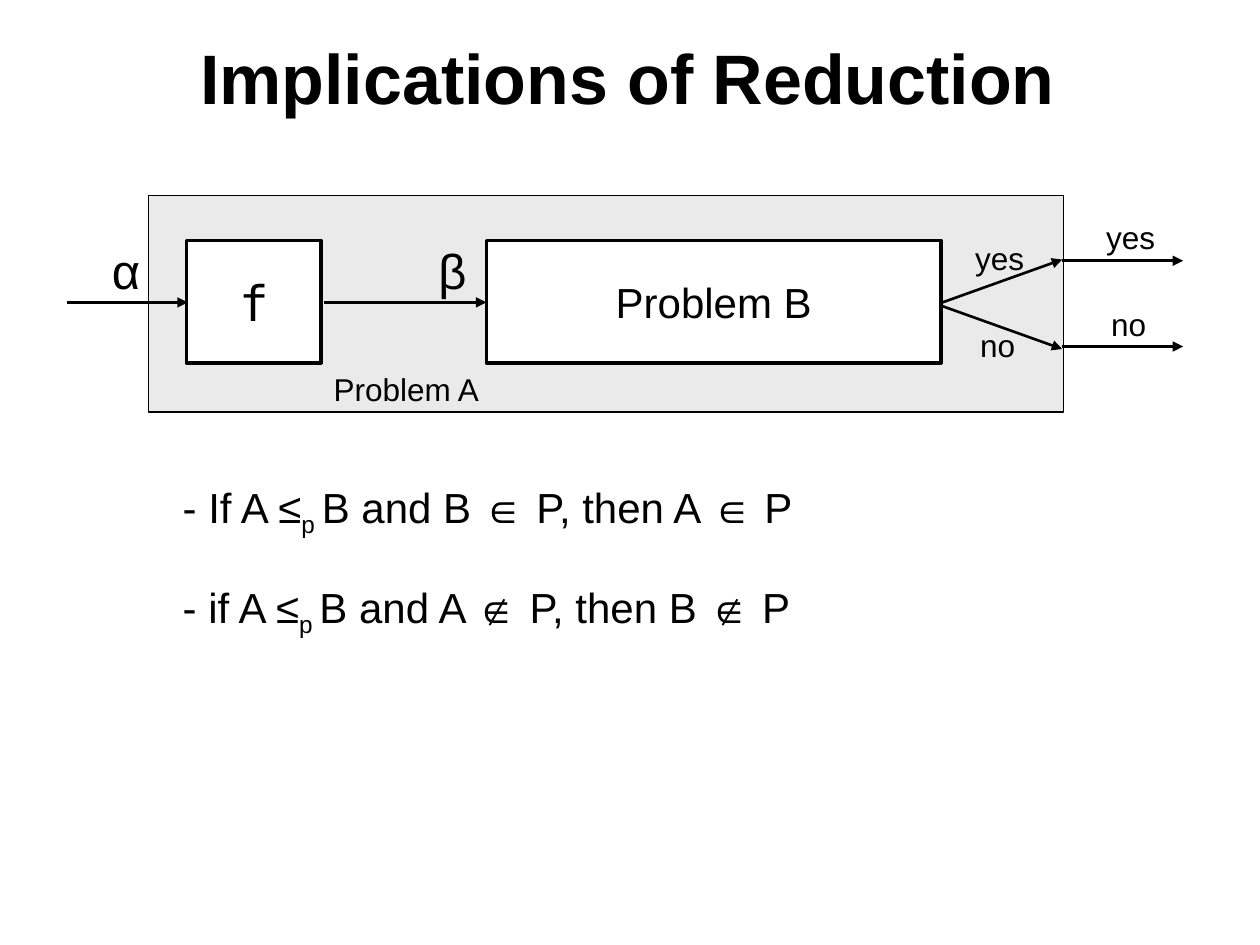
from lxml import etree
from pptx import Presentation
from pptx.dml.color import RGBColor
from pptx.enum.shapes import MSO_CONNECTOR, MSO_SHAPE
from pptx.enum.text import MSO_ANCHOR, MSO_AUTO_SIZE, PP_ALIGN
from pptx.oxml.ns import qn
from pptx.util import Inches, Pt

BLACK = RGBColor(0x00, 0x00, 0x00)
WHITE = RGBColor(0xFF, 0xFF, 0xFF)
GREY = RGBColor(0xEA, 0xEA, 0xEA)
SANS, MONO = "Arial", "DejaVu Sans Mono"
RECT, LINE = MSO_SHAPE.RECTANGLE, MSO_CONNECTOR.STRAIGHT
MIDDLE, TOP = MSO_ANCHOR.MIDDLE, MSO_ANCHOR.TOP
CENTER, LEFT = PP_ALIGN.CENTER, PP_ALIGN.LEFT
FIXED, GROW = MSO_AUTO_SIZE.NONE, MSO_AUTO_SIZE.SHAPE_TO_FIT_TEXT
COLS, ROWS = 100, 75


class Deck:
    """Style and current slide; lengths are columns and rows of the grid."""

    def __init__(self):
        self.prs = Presentation()
        self.prs.slide_width, self.prs.slide_height = Inches(10), Inches(7.5)
        self.slide = self.prs.slides.add_slide(self.prs.slide_layouts[1])
        self.group = self.slide.shapes.add_group_shape().shapes

    def grid(self, *cells):
        units = self.prs.slide_width / COLS, self.prs.slide_height / ROWS
        return [round(cell * units[i % 2]) for i, cell in enumerate(cells)]

    def move(self, shape, *cells):
        shape.left, shape.top, shape.width, shape.height = self.grid(*cells)

    def run(self, para, text, size, face=SANS, bold=False, base=0):
        run = para.add_run()
        run.text = text
        font = run.font
        font.name, font.size, font.bold = face, Pt(size), bold
        font.color.rgb = BLACK
        if base:
            run._r.get_or_add_rPr().set("baseline", str(base * 1000))

    def title(self, text, *cells):
        shape = self.slide.shapes.title
        self.move(shape, *cells)
        frame = shape.text_frame
        frame.auto_size, frame.vertical_anchor = FIXED, MIDDLE
        frame.paragraphs[0].alignment = CENTER
        self.run(frame.paragraphs[0], text, 40, bold=True)

    def body(self, lines, *cells):
        shape = self.slide.placeholders[1]
        self.move(shape, *cells)
        frame = shape.text_frame
        frame.auto_size, frame.vertical_anchor = FIXED, TOP
        frame.margin_top = Inches(0.5)
        for i, parts in enumerate(lines):
            para = frame.add_paragraph() if i else frame.paragraphs[0]
            para.level = 1
            props = para._p.get_or_add_pPr()
            props.set("marL", str(Inches(0.97)))
            props.set("indent", "0")
            etree.SubElement(props, qn("a:buNone"))
            para.alignment = LEFT
            para.space_before = Pt(4.8 if i else 0)
            para.line_spacing = 1.6 if i else 1.0
            for text, base in parts:
                self.run(para, text, 24, base=base)

    def box(self, fill, width, *cells, text="", size=24, face=SANS):
        shape = self.group.add_shape(RECT, *self.grid(*cells))
        shape.shadow.inherit = False
        shape.fill.solid()
        shape.fill.fore_color.rgb = fill
        shape.line.color.rgb = BLACK
        shape.line.width = Pt(width)
        if text:
            frame = shape.text_frame
            frame.word_wrap, frame.vertical_anchor = False, MIDDLE
            frame.paragraphs[0].alignment = CENTER
            self.run(frame.paragraphs[0], text, size, face)

    def label(self, text, size, *cells):
        shape = self.group.add_textbox(*self.grid(*cells))
        frame = shape.text_frame
        frame.word_wrap, frame.auto_size = False, GROW
        self.run(frame.paragraphs[0], text, size)

    def arrow(self, *ends):
        line = self.group.add_connector(LINE, *self.grid(*ends))
        line.line.color.rgb = BLACK
        line.line.width = Pt(1.5)
        etree.SubElement(line.line._get_or_add_ln(), qn("a:tailEnd"), type="triangle")
        etree.SubElement(line._element.spPr, qn("a:effectLst"))


def main():
    deck = Deck()

    # Title and the two implications
    deck.title("Implications of Reduction", 1.9, 1.1, 95.8, 9.9)
    deck.body([
        [("- If A ≤", 0), ("p ", -25), ("B and B ∈ P, then A ∈ P", 0)],
        [("- if A ≤", 0), ("p ", -25), ("B and A ∉ P, then B ∉ P", 0)],
    ], 3.8, 33.2, 90, 18.6)

    # Problem A, holding the mapping f and problem B
    deck.box(GREY, 0.75, 11.8, 15.5, 72.6, 17.2)
    deck.box(WHITE, 2, 14.8, 19.1, 10.7, 9.7, text="f", size=28, face=MONO)
    deck.box(WHITE, 2, 38.6, 19.1, 36.1, 9.7, text="Problem B")
    deck.label("Problem A", 18, 25.5, 28.9, 13.7, 4)

    # Inputs
    for text, left, width, start, end in (
        ("α", 7.9, 4.5, 5.3, 14.9),
        ("β", 33.8, 4.1, 25.7, 38.6),
    ):
        deck.label(text, 28, left, 18.6, width, 5.7)
        deck.arrow(start, 24, end, 24)

    # Answers of B, passed on as answers of A
    for text, left, width, top, fork, tip, out in (
        ("yes", 76.4, 5.9, 18.5, 24, 20.6, 20.7),
        ("no", 76.8, 4.8, 25.4, 24.3, 27.7, 27.5),
    ):
        deck.arrow(74.8, fork, 84.3, tip)
        deck.arrow(84.3, out, 93.9, out)
        deck.label(text, 18, left, top, width, 4)
        deck.label(text, 18, left + 10.4, top - 1.7, width, 4)

    deck.prs.save("out.pptx")


if __name__ == "__main__":
    main()
